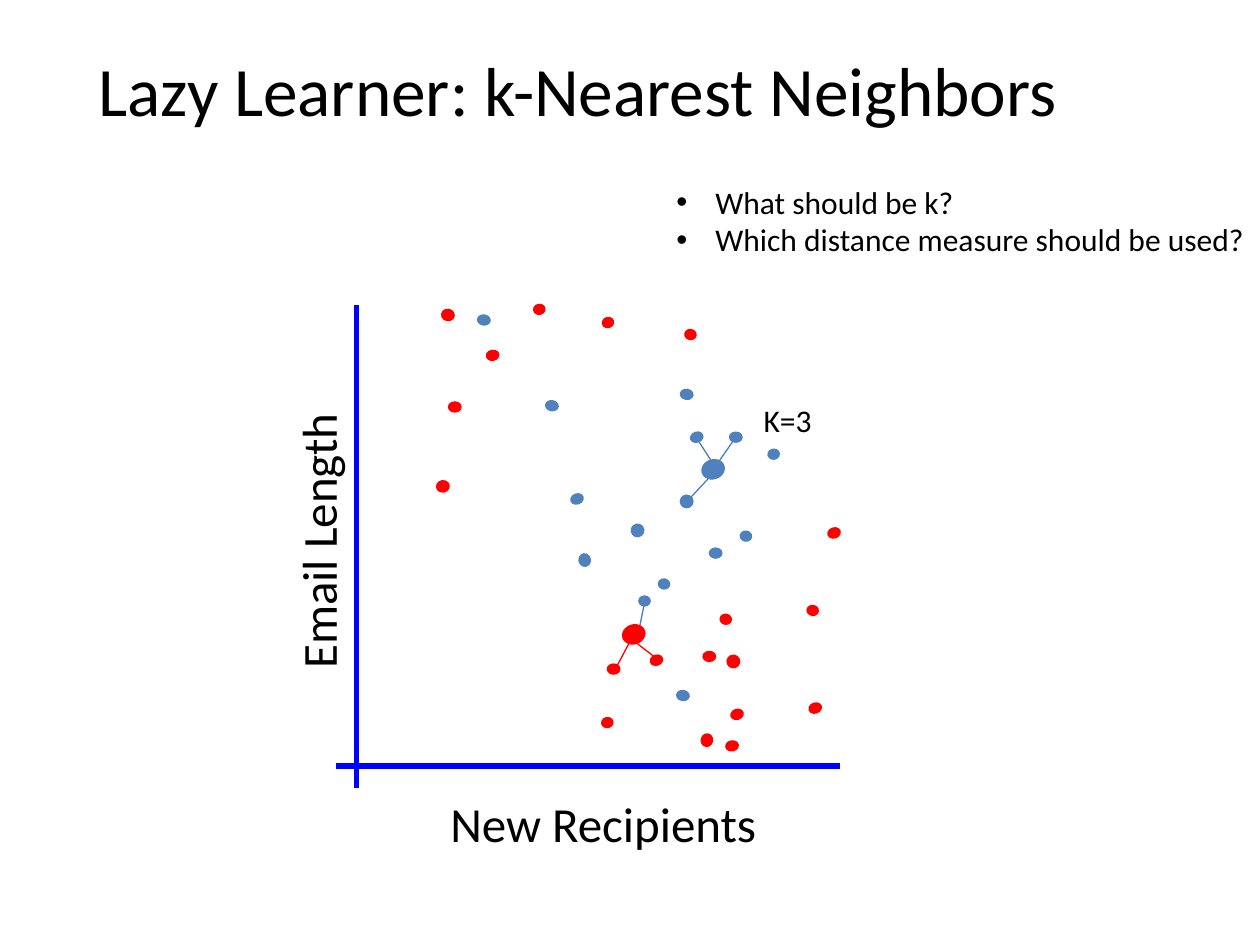
from pptx import Presentation
from pptx.dml.color import RGBColor
from pptx.enum.shapes import MSO_CONNECTOR, MSO_SHAPE
from pptx.enum.text import MSO_ANCHOR, PP_ALIGN
from pptx.oxml.ns import qn
from pptx.util import Inches, Pt
from lxml.etree import SubElement

RED, BLUE, LINK_BLUE, AXIS_BLUE = "FF0000", "4F81BD", "4B7EBC", "0000FF"

DOTS = {
    (RED, 0): [(3.56, 3.19, 0.1, 0.08), (4.82, 5.27, 0.1, 0.08), (5.58, 5.17, 0.1, 0.08)],
    (BLUE, 0): [(5.63, 4.35, 0.1, 0.08), (5.79, 3.43, 0.1, 0.08),
                (5.07, 4.73, 0.09, 0.08), (5.4, 3.93, 0.1, 0.1)],
    (RED, 341.4): [(4.78, 2.52, 0.09, 0.08), (6.57, 4.19, 0.1, 0.08), (5.8, 5.63, 0.1, 0.08),
                   (5.16, 5.2, 0.1, 0.08), (6.42, 5.58, 0.1, 0.08)],
    (BLUE, 341.4): [(5.48, 3.43, 0.1, 0.08), (4.53, 3.92, 0.1, 0.08)],
    (RED, 98.3): [(3.51, 2.45, 0.09, 0.1), (5.77, 5.2, 0.1, 0.1), (5.44, 2.61, 0.08, 0.09),
                  (6.41, 4.8, 0.08, 0.09), (5.72, 4.87, 0.08, 0.09), (5.56, 5.83, 0.1, 0.09)],
    (BLUE, 98.3): [(5.23, 4.59, 0.08, 0.09), (4.34, 3.17, 0.08, 0.1), (5.88, 4.21, 0.08, 0.09),
                   (5.41, 3.08, 0.08, 0.1), (3.8, 2.49, 0.08, 0.1), (5.38, 5.47, 0.08, 0.1)],
    (RED, 79.6): [(4.78, 5.69, 0.08, 0.09), (4.24, 2.41, 0.08, 0.09), (3.87, 2.77, 0.08, 0.1),
                  (3.47, 3.81, 0.09, 0.1), (5.77, 5.87, 0.08, 0.1)],
    (BLUE, 79.6): [(5.01, 4.16, 0.1, 0.1), (4.59, 4.4, 0.1, 0.09), (6.1, 3.56, 0.08, 0.09)],
}
AXES = [(2.83, 2.42, 2.83, 6.25), (2.67, 6.08, 6.67, 6.08)]
NEIGHBOR_LINKS = [
    (LINK_BLUE, (5.64, 3.65, 5.55, 3.51)),
    (LINK_BLUE, (5.7, 3.67, 5.84, 3.47)),
    (LINK_BLUE, (5.62, 3.8, 5.48, 3.95)),
    (LINK_BLUE, (5.08, 4.96, 5.11, 4.81)),
    (RED, (4.99, 5.11, 4.9, 5.28)),
    (RED, (5.06, 5.11, 5.19, 5.21)),
]
QUERY_POINTS = [(BLUE, (5.57, 3.65, 0.18, 0.15)), (RED, (4.94, 4.96, 0.18, 0.15))]


def color(value):
    return RGBColor.from_string(value)


def apply(target, values):
    for name, value in values.items():
        setattr(target, name, value)


class SlideBuilder:
    font = {"name": "Calibri"}
    text_color = "000000"

    def __init__(self, page):
        self.page = page

    def line(self, ends, hue, width=0.75):
        connector = self.page.shapes.add_connector(
            MSO_CONNECTOR.STRAIGHT, *map(Inches, ends))
        connector.line.color.rgb = color(hue)
        connector.line.width = Pt(width)
        SubElement(connector._element.spPr, qn("a:effectLst"))

    def dot(self, bounds, hue, rotation=0):
        shape = self.page.shapes.add_shape(MSO_SHAPE.OVAL, *map(Inches, bounds))
        shape.shadow.inherit = False
        shape.rotation = rotation
        shape.fill.solid()
        shape.fill.fore_color.rgb = color(hue)
        shape.line.color.rgb = color(hue)
        shape.line.width = Pt(0.75)

    def text(self, bounds, lines, size, align=PP_ALIGN.RIGHT, anchor=MSO_ANCHOR.TOP,
             rotation=0, bullet=False):
        box = self.page.shapes.add_textbox(*map(Inches, bounds))
        box.rotation = rotation
        frame = box.text_frame
        apply(frame, {"word_wrap": True, "vertical_anchor": anchor})
        for index, line in enumerate(lines):
            para = frame.paragraphs[0] if index == 0 else frame.add_paragraph()
            para.alignment = align
            properties = para._p.get_or_add_pPr()
            if bullet:
                properties.set("marL", str(Inches(0.31)))
                properties.set("indent", str(-Inches(0.31)))
                SubElement(properties, qn("a:buFont")).set("typeface", "Arial")
                SubElement(properties, qn("a:buChar")).set("char", "•")
            else:
                properties.set("rtl", "1")
            span = para.add_run()
            span.text = line
            apply(span.font, {**self.font, "size": Pt(size)})
            span.font.color.rgb = color(self.text_color)


def main():
    deck = Presentation()
    apply(deck, {"slide_width": Inches(10), "slide_height": Inches(7.5)})
    builder = SlideBuilder(deck.slides.add_slide(deck.slide_layouts[6]))

    builder.text((0.17, 0.33, 8.69, 0.75), ["Lazy Learner: k-Nearest Neighbors "], 39.6,
                 align=PP_ALIGN.CENTER, anchor=MSO_ANCHOR.MIDDLE)
    for ends in AXES:
        builder.line(ends, AXIS_BLUE, 3)
    for (hue, rotation), places in DOTS.items():
        for bounds in places:
            builder.dot(bounds, hue, rotation)
    builder.text((3.24, 6.25, 2.86, 0.57), ["New Recipients"], 28)
    builder.text((1.09, 4.33, 2.86, 0.57), ["Email Length"], 28, rotation=270)
    builder.text((5.63, 3.13, 0.91, 0.4), ["K=3"], 18)
    for hue, ends in NEIGHBOR_LINKS:
        builder.line(ends, hue)
    for hue, bounds in QUERY_POINTS:
        builder.dot(bounds, hue, 341.4)
    builder.text((5.27, 1.4, 4.76, 0.71),
                 ["What should be k?", "Which distance measure should be used?"], 18,
                 align=PP_ALIGN.LEFT, bullet=True)
    deck.save("out.pptx")


if __name__ == "__main__":
    main()
